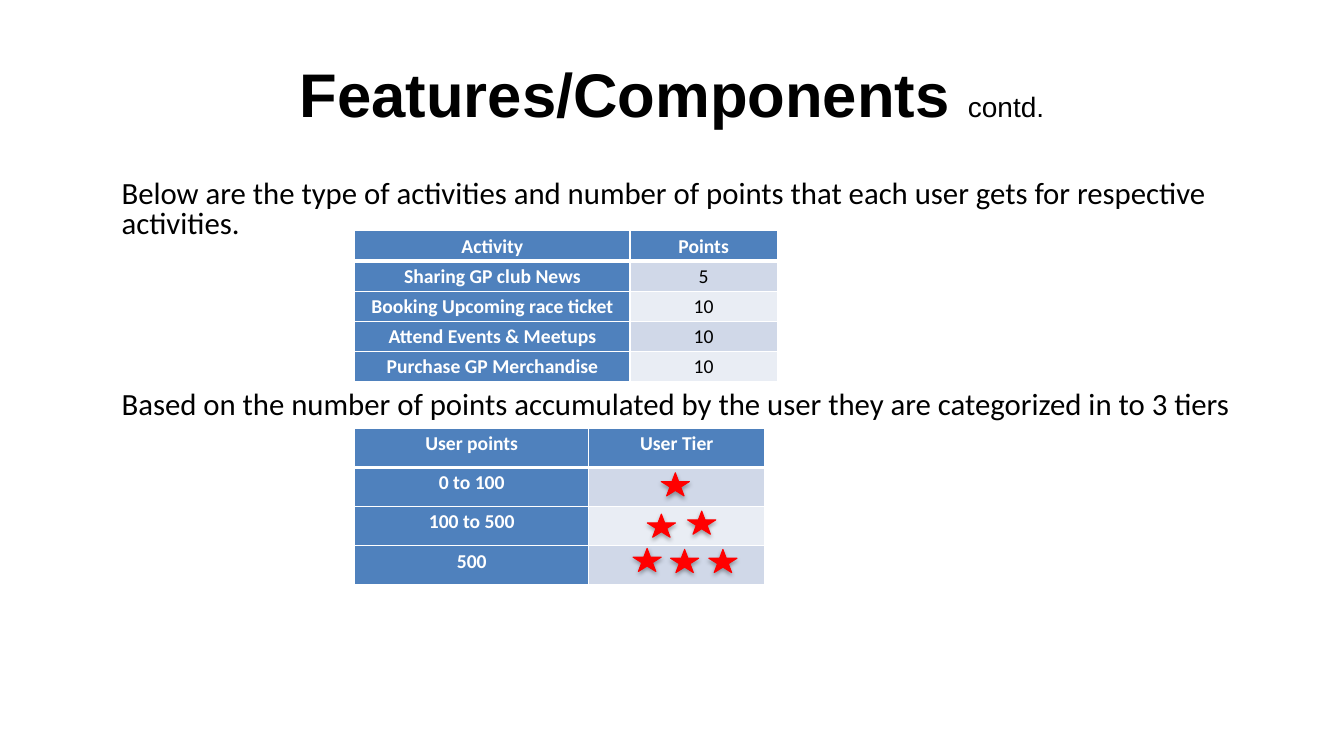
from lxml import etree
from pptx import Presentation, util as u
from pptx.dml.color import RGBColor
from pptx.enum import shapes, text
from pptx.oxml import ns

WIDE, HIGH = u.Inches(13.33), u.Inches(7.5)
BLUE, WHITE, BLACK, RED = "4F81BD", "FFFFFF", "000000", "FF0000"
BANDS = "D0D8E8", "E9EDF4"
TASKS = [
    ("Activity", "Points"),
    ("Sharing GP club News", "5"),
    ("Booking Upcoming race ticket", "10"),
    ("Attend Events & Meetups", "10"),
    ("Purchase GP Merchandise", "10"),
]
TIERS = [("User points", "User Tier"), ("0 to 100", ""), ("100 to 500", ""), ("500", "")]
STARS = [(49.2, 62.53), (48.16, 68), (51.16, 67.6),
         (47.1, 72.53), (49.89, 72.67), (52.74, 72.67)]


def across(share):
    """Turn a percentage of the slide width into a length."""
    return round(WIDE * share / 100)


def down(share):
    """Turn a percentage of the slide height into a length."""
    return round(HIGH * share / 100)


def paint(item, color):
    """Give a fill a solid hex colour."""
    item.solid()
    item.fore_color.rgb = RGBColor.from_string(color)


def style(font, size, color=BLACK, bold=False, name="Calibri"):
    """Set the face, size, weight and colour of a font."""
    font.name, font.size, font.bold = name, u.Pt(size), bold
    font.color.rgb = RGBColor.from_string(color)


def child(parent, tag, **attrs):
    """Append a drawing element to a parent."""
    node = etree.SubElement(parent, ns.qn("a:" + tag))
    for key, value in attrs.items():
        node.set(key, str(value))
    return node


def add_title(slide):
    """Place the heading and its small suffix."""
    title = slide.shapes.title
    title.left, title.top = across(5), down(4)
    title.width, title.height = across(90), down(16.67)
    frame = title.text_frame
    frame.auto_size = text.MSO_AUTO_SIZE.NONE
    frame.vertical_anchor = text.MSO_ANCHOR.MIDDLE
    line = frame.paragraphs[0]
    line.alignment = text.PP_ALIGN.CENTER
    for words, size, bold in (("Features/Components ", 44, True), ("contd.", 20, False)):
        run = line.add_run()
        run.text = words
        style(run.font, size, bold=bold, name="Arial")


def add_body(slide, lines):
    """Write paragraphs, each with its own space before."""
    box = slide.shapes.add_textbox(across(5), down(23.33), across(90), down(66))
    frame = box.text_frame
    frame.word_wrap = True
    frame.margin_left = across(4.05)
    frame.text = "\n".join(words for words, gap in lines)
    for line, (words, gap) in zip(frame.paragraphs, lines):
        line.line_spacing = 0.8
        line.space_before = u.Pt(gap)
        style(line.font, 22)


def edge(cell, row):
    """Draw white borders, thick between heading and data."""
    props = cell._tc.get_or_add_tcPr()
    thick = {0: "lnB", 1: "lnT"}.get(row)
    for tag in ("lnL", "lnR", "lnT", "lnB"):
        line = child(props, tag, w=u.Pt(3 if tag == thick else 1))
        child(child(line, "solidFill"), "srgbClr", val=WHITE)


def add_grid(slide, top, widths, height, rows):
    """Build a table with blue headings and banded values."""
    frame = slide.shapes.add_table(
        len(rows), len(widths), across(26.4), down(top),
        across(sum(widths)), down(height * len(rows)))
    table = frame.table
    for col, width in zip(table.columns, widths):
        col.width = across(width)
    for r, row in enumerate(rows):
        table.rows[r].height = down(height)
        for c, words in enumerate(row):
            cell = table.cell(r, c)
            head = r == 0 or c == 0
            edge(cell, r)
            paint(cell.fill, BLUE if head else BANDS[(r - 1) % 2])
            cell.margin_left = cell.margin_right = u.Inches(0.07)
            cell.margin_top = cell.margin_bottom = 0
            cell.text = words
            line = cell.text_frame.paragraphs[0]
            line.alignment = text.PP_ALIGN.CENTER
            line.line_spacing = 1.15
            style(line.font, 14, WHITE if head else BLACK, head)


def add_star(slide, left, top):
    """Draw a red star with a soft shadow below it."""
    star = slide.shapes.add_shape(
        shapes.MSO_SHAPE.STAR_5_POINT, across(left), down(top), across(2.1), down(3.07))
    paint(star.fill, RED)
    paint(star.line.fill, RED)
    star.line.width = u.Pt(0.75)
    star.shadow.inherit = False
    glow = child(star._element.spPr.find(ns.qn("a:effectLst")), "outerShdw",
                 blurRad=u.Pt(3.1), dist=u.Pt(1.8), dir=5400000, rotWithShape=0)
    child(child(glow, "srgbClr", val=BLACK), "alpha", val=35000)


def main():
    """Build and save the slide."""
    deck = Presentation()
    deck.slide_width, deck.slide_height = WIDE, HIGH
    slide = deck.slides.add_slide(deck.slide_layouts[5])
    add_title(slide)
    add_body(slide, [
        ("Below are the type of activities and number of points that each user "
         "gets for respective activities.", 4.4),
        ("Based on the number of points accumulated by the user they are "
         "categorized in to 3 tiers", 108),
    ])
    add_grid(slide, 30.53, (20.48, 10.95), 4, TASKS)
    add_grid(slide, 56.67, (17.4, 13.12), 5.18, TIERS)
    for left, top in STARS:
        add_star(slide, left, top)
    deck.save("out.pptx")


if __name__ == "__main__":
    main()
